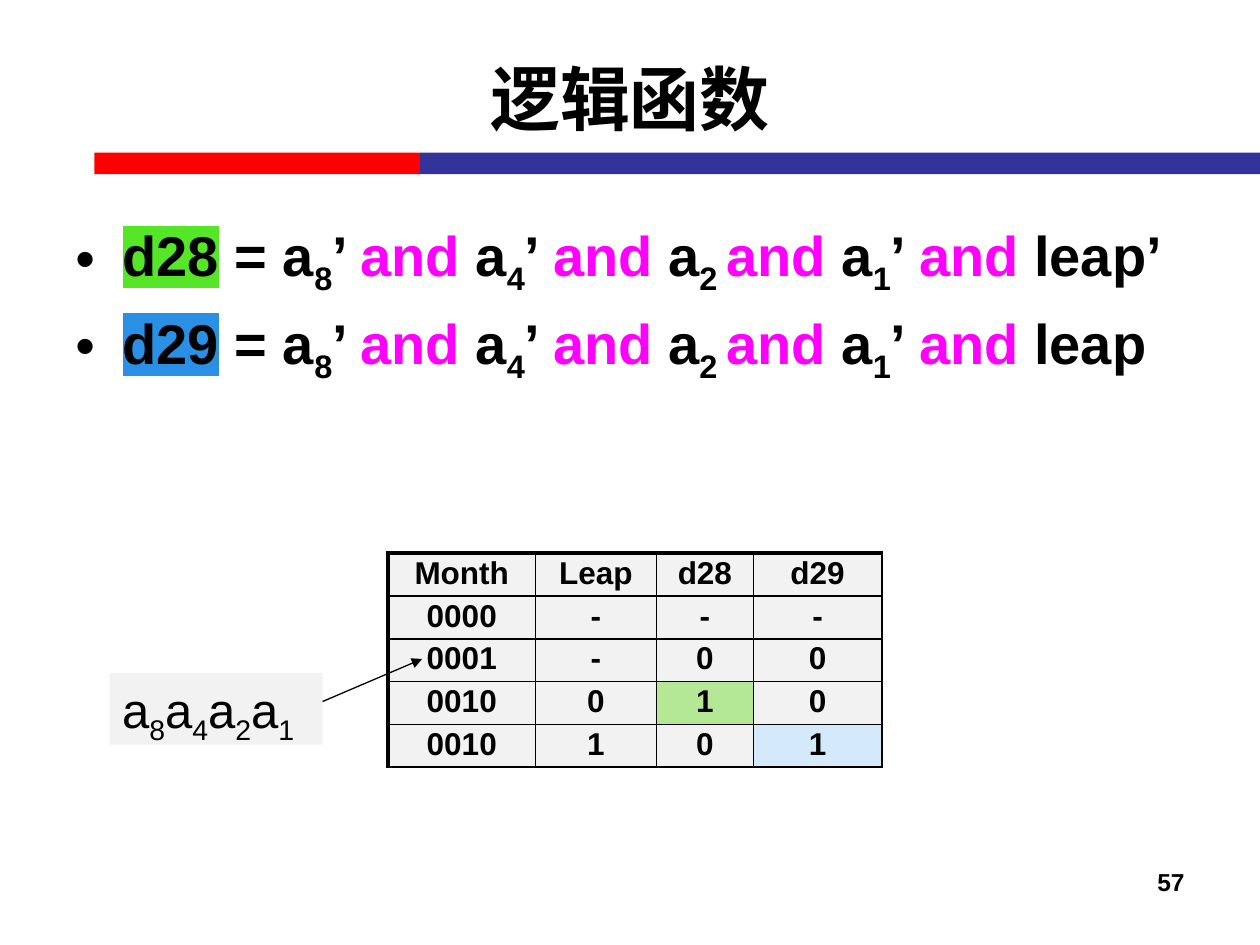
from lxml.etree import SubElement
from pptx import Presentation
from pptx.dml.color import RGBColor
from pptx.enum.shapes import MSO_CONNECTOR, MSO_SHAPE
from pptx.enum.text import MSO_ANCHOR, PP_ALIGN
from pptx.oxml.ns import qn
from pptx.util import Inches, Pt

BLACK = RGBColor(0, 0, 0)
RED = RGBColor(0xFF, 0, 0)
NAVY = RGBColor(0x33, 0x33, 0x99)
MAGENTA = RGBColor(0xFF, 0, 0xFF)
GREEN = RGBColor(0x55, 0xE7, 0x27)
BLUE = RGBColor(0x29, 0x90, 0xE5)
GREY = RGBColor(0xF2, 0xF2, 0xF2)
PALE_GREEN = RGBColor(0xB4, 0xE8, 0x96)
PALE_BLUE = RGBColor(0xD4, 0xE9, 0xFA)
WIDTH, HEIGHT = 10, 7.5
FONT = "Arial"


def inches(*lengths):
    return [Inches(n) for n in lengths]


def add_text(p, text, size=32, bold=True, color=BLACK, sub=False, highlight=None):
    """Append one formatted run to a paragraph."""
    r = p.add_run()
    r.text = text
    r.font.size, r.font.bold, r.font.name = Pt(size), bold, FONT
    r.font.color.rgb = color
    rPr = r.font._element
    if sub:
        rPr.set("baseline", "-25000")
    if highlight is not None:
        mark = SubElement(rPr, qn("a:highlight"))
        SubElement(mark, qn("a:srgbClr"), val=str(highlight))
        rPr.find(qn("a:solidFill")).addnext(mark)


def add_box(s, box, fill):
    sp = s.shapes.add_shape(MSO_SHAPE.RECTANGLE, *inches(*box))
    sp.shadow.inherit = False
    sp.fill.solid()
    sp.fill.fore_color.rgb = fill
    sp.line.fill.background()
    return sp


def add_header(s, box, text):
    """Title placeholder over a two-colour rule that runs to the slide edge."""
    left, top, width, height = box
    start, split, rule_top, thick = 0.075 * WIDTH, WIDTH / 3, top + 0.85 * height, 0.17
    add_box(s, (start, rule_top, split - start, thick), RED)
    add_box(s, (split, rule_top, WIDTH - split, thick), NAVY)

    title = s.shapes.title
    title.left, title.top, title.width, title.height = inches(*box)
    tf = title.text_frame
    tf.vertical_anchor = MSO_ANCHOR.MIDDLE
    p = tf.paragraphs[0]
    p.alignment = PP_ALIGN.CENTER
    add_text(p, text, size=40)


def add_formulas(s, box, formulas):
    """Bulleted formulas, each given as (name, highlight, last term)."""
    tf = s.shapes.add_textbox(*inches(*box)).text_frame
    tf.word_wrap = True
    for i, (name, highlight, last) in enumerate(formulas):
        p = tf.paragraphs[0] if i == 0 else tf.add_paragraph()
        pPr = p._p.get_or_add_pPr()
        pPr.set("marL", str(Inches(0.375)))
        pPr.set("indent", str(-Inches(0.375)))
        SubElement(pPr, qn("a:buFont"), typeface=FONT)
        SubElement(pPr, qn("a:buChar"), char="•")
        if i:
            p.space_before = Pt(6.4)
        add_text(p, name, highlight=highlight)
        add_text(p, " = ")
        for index, tail in (("8", "’ "), ("4", "’ "), ("2 ", ""), ("1", "’ ")):
            add_text(p, "a")
            add_text(p, index, sub=True)
            if tail:
                add_text(p, tail)
            add_text(p, "and ", color=MAGENTA)
        add_text(p, last)


def set_borders(cell, **widths):
    tcPr = cell._tc.get_or_add_tcPr()
    for side in "LRTB":
        ln = SubElement(tcPr, qn(f"a:ln{side}"), w=str(Pt(widths.get(side, 1))))
        fill = SubElement(ln, qn("a:solidFill"))
        SubElement(fill, qn("a:srgbClr"), val=str(BLACK))


def add_truth_table(s, box, shares, rows, marked):
    """Table with heavier top and left edges; marked maps cells to fills."""
    table = s.shapes.add_table(len(rows), len(shares), *inches(*box)).table
    table.first_row = table.horz_banding = False
    for column, share in zip(table.columns, shares):
        column.width = Inches(box[2] * share / sum(shares))
    for i, values in enumerate(rows):
        table.rows[i].height = Inches(box[3] / len(rows))
        for j, value in enumerate(values):
            cell = table.cell(i, j)
            cell.margin_left = cell.margin_right = Inches(0.04)
            cell.margin_top = cell.margin_bottom = Inches(0.02)
            set_borders(cell, L=1 if j else 2.25, T=1 if i else 2.25)
            cell.fill.solid()
            cell.fill.fore_color.rgb = marked.get((i, j), GREY)
            p = cell.text_frame.paragraphs[0]
            p.alignment = PP_ALIGN.CENTER
            add_text(p, value, size=18)


def add_bit_label(s, box, target):
    """Bit names in a grey box with an arrow to the target point."""
    left, top, width, height = box
    tf = add_box(s, box, GREY).text_frame
    tf.vertical_anchor = MSO_ANCHOR.TOP
    p = tf.paragraphs[0]
    p.alignment = PP_ALIGN.LEFT
    for index in "8421":
        add_text(p, "a", size=28, bold=False)
        add_text(p, index, size=28, bold=False, sub=True)

    arrow = s.shapes.add_connector(
        MSO_CONNECTOR.STRAIGHT, *inches(left + width, top + 0.4 * height, *target))
    arrow.line.color.rgb = BLACK
    arrow.line.width = Pt(0.75)
    SubElement(arrow.line._get_or_add_ln(), qn("a:tailEnd"), type="triangle")
    SubElement(arrow._element.spPr, qn("a:effectLst"))


def add_page_number(s, box, number):
    tf = s.shapes.add_textbox(*inches(*box)).text_frame
    tf.word_wrap = True
    p = tf.paragraphs[0]
    p.alignment = PP_ALIGN.RIGHT
    add_text(p, number, size=14)


def main():
    prs = Presentation()
    prs.slide_width, prs.slide_height = inches(WIDTH, HEIGHT)
    s = prs.slides.add_slide(prs.slide_layouts[5])
    margin = 0.05 * WIDTH
    content = WIDTH - 2 * margin

    add_header(s, (margin, 0.02 * HEIGHT, content, HEIGHT / 6), "逻辑函数")
    add_formulas(s, (margin, 1.7, content, 0.66 * HEIGHT),
                 [("d28", GREEN, "leap’"), ("d29", BLUE, "leap")])
    add_page_number(s, (WIDTH - margin - 2.33, 6.83, 2.33, 0.52), "57")
    add_truth_table(
        s, (3.08, 4.39, 3.92, 1.67), (1.17, 0.96, 0.77, 1.02),
        [("Month", "Leap", "d28", "d29"),
         ("0000", "-", "-", "-"),
         ("0001", "-", "0", "0"),
         ("0010", "0", "1", "0"),
         ("0010", "1", "0", "1")],
        {(3, 2): PALE_GREEN, (4, 3): PALE_BLUE})
    add_bit_label(s, (0.87, 5.34, 1.69, 0.57), target=(3.35, 5.23))
    prs.save("out.pptx")


if __name__ == "__main__":
    main()
